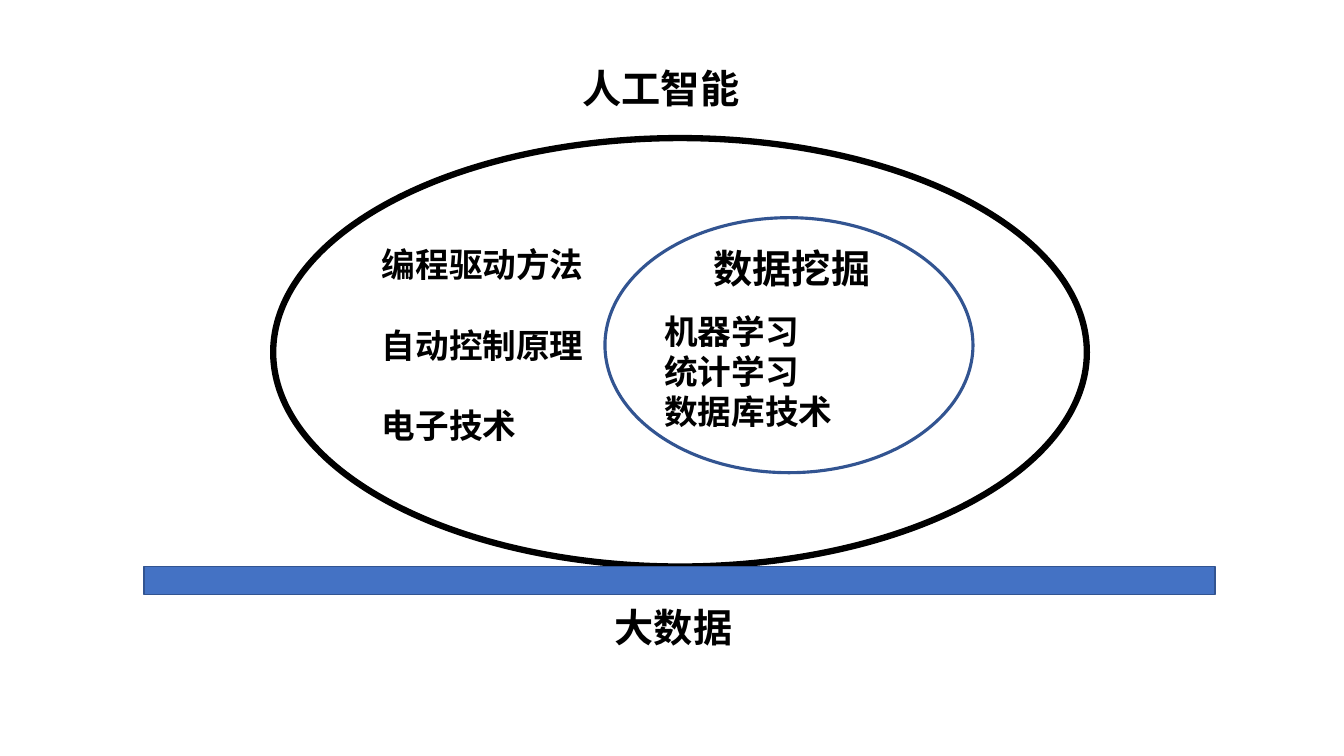
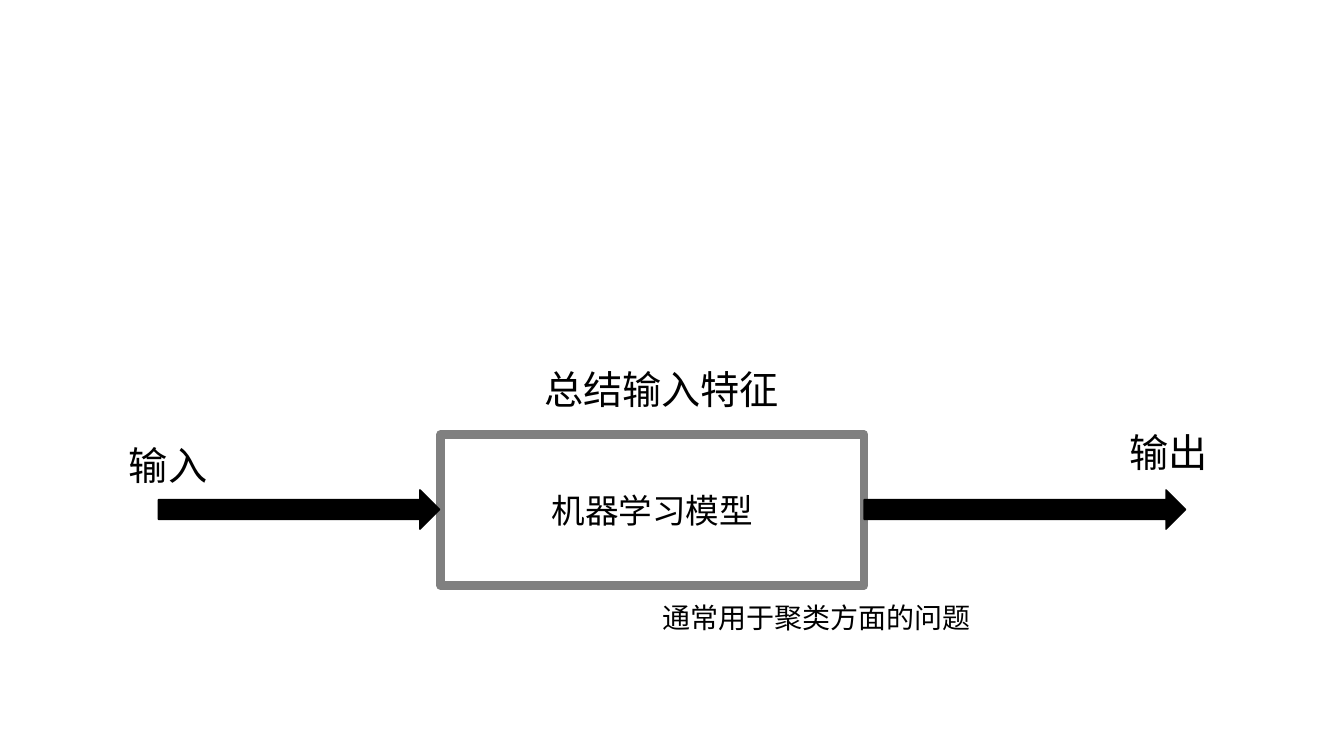
import lxml.etree
import pptx
import pptx.dml.color
import pptx.enum.shapes
import pptx.enum.text
import pptx.oxml.ns
import pptx.util

Inches = pptx.util.Inches
Pt = pptx.util.Pt
SHAPE = pptx.enum.shapes.MSO_SHAPE

FONT = "Noto Sans CJK SC"
LINE_PITCH = 1.2
COLORS = {
    "paper": "FFFFFF",
    "ink": "000000",
    "blue": "4472C4",
    "navy": "325491",
    "gray": "808080",
}


def add_figure(slide, kind, box, fill, line, width):
    """Add a preset shape; fill may be None for an open outline."""
    figure = slide.shapes.add_shape(kind, *map(Inches, box))
    figure.shadow.inherit = False
    if fill:
        figure.fill.solid()
        figure.fill.fore_color.rgb = pptx.dml.color.RGBColor.from_string(COLORS[fill])
    else:
        figure.fill.background()
    figure.line.color.rgb = pptx.dml.color.RGBColor.from_string(COLORS[line])
    figure.line.width = Pt(width)
    return figure


def write_lines(frame, lines, size, bold=False, gap=0, pitch=None):
    """Write one paragraph per line, with gap points between them."""
    frame.word_wrap = True
    for index, line in enumerate(lines):
        paragraph = frame.paragraphs[0] if index == 0 else frame.add_paragraph()
        if pitch:
            paragraph.line_spacing = Pt(size * pitch)
        if index:
            paragraph.space_before = Pt(gap)
        run = paragraph.add_run()
        run.text = line
        run.font.size = Pt(size)
        run.font.bold = bold
        run.font.name = FONT
        run.font.color.rgb = pptx.dml.color.RGBColor.from_string(COLORS["ink"])
        east_asian = lxml.etree.SubElement(
            run.font._element, pptx.oxml.ns.qn("a:ea"))
        east_asian.set("typeface", FONT)


deck = pptx.Presentation()
deck.slide_width = Inches(13.33)
deck.slide_height = Inches(7.5)
blank = deck.slide_layouts[6]

# Slide 1: fields nested inside artificial intelligence, resting on big data
fields = deck.slides.add_slide(blank)
add_figure(fields, SHAPE.OVAL, (2.71, 1.37, 8.07, 4.25), None, "ink", 4.5)
add_figure(fields, SHAPE.OVAL, (6, 2.16, 3.65, 2.53), None, "navy", 2.25)
add_figure(fields, SHAPE.RECTANGLE, (1.43, 5.62, 10.62, 0.28), "blue", "navy", 1)

# Slide 2: input, model, output
flow = deck.slides.add_slide(blank)
model = add_figure(flow, SHAPE.RECTANGLE, (4.37, 4.31, 4.2, 1.5), "paper", "gray", 6)
model.text_frame.vertical_anchor = pptx.enum.text.MSO_ANCHOR.MIDDLE
write_lines(model.text_frame, ["机器学习模型"], 24)
model.text_frame.paragraphs[0].alignment = pptx.enum.text.PP_ALIGN.CENTER
for left, length in ((8.57, 3.19), (1.57, 2.79)):
    add_figure(flow, SHAPE.RIGHT_ARROW, (left, 4.86, length, 0.39), "ink", "ink", 1)

# Labels: slide, box, lines, size, bold, gap between lines
labels = [
    (fields, (5.68, 0.55, 2.67, 0.57), ["人工智能"], 28, True, 0),
    (fields, (3.69, 2.33, 2.67, 2.12),
     ["编程驱动方法", "自动控制原理", "电子技术"], 24, True, 24 * LINE_PITCH),
    (fields, (6.98, 2.33, 2.67, 0.57), ["数据挖掘"], 28, True, 0),
    (fields, (6.49, 2.99, 2.67, 1.31),
     ["机器学习", "统计学习", "数据库技术"], 24, True, 0),
    (fields, (6, 5.9, 2.67, 0.57), ["大数据"], 28, True, 0),
    (flow, (1.18, 4.29, 1.92, 0.57), ["输入"], 28, False, 0),
    (flow, (11.1, 4.16, 1.92, 0.57), ["输出"], 28, False, 0),
    (flow, (5.3, 3.53, 4.06, 0.57), ["总结输入特征"], 28, False, 0),
    (flow, (6.47, 5.87, 5.43, 0.44), ["通常用于聚类方面的问题"], 20, False, 0),
]
for slide, box, lines, size, bold, gap in labels:
    frame = slide.shapes.add_textbox(*map(Inches, box)).text_frame
    frame.margin_top = Inches(0.09)
    write_lines(frame, lines, size, bold, gap, LINE_PITCH)

deck.save("out.pptx")
